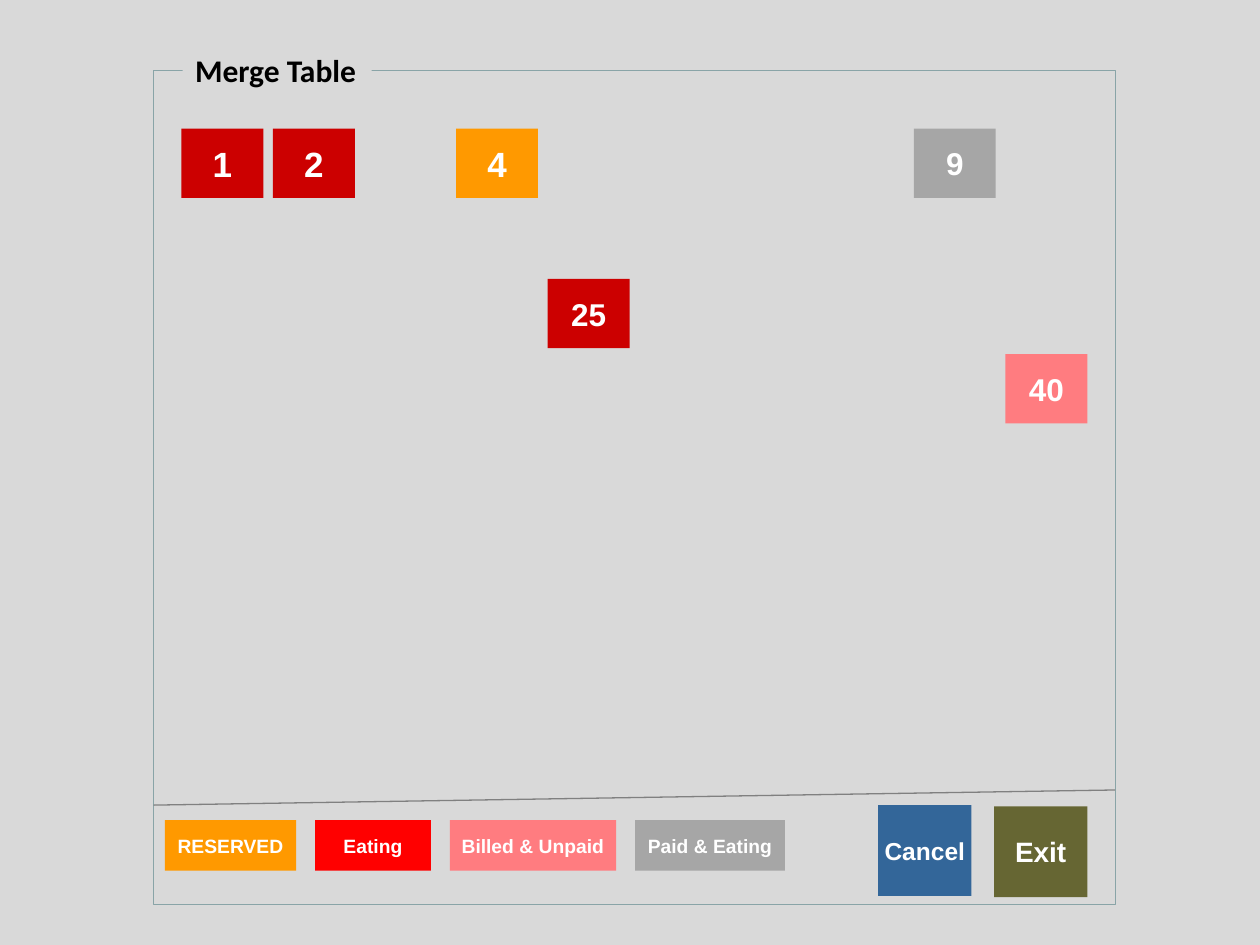
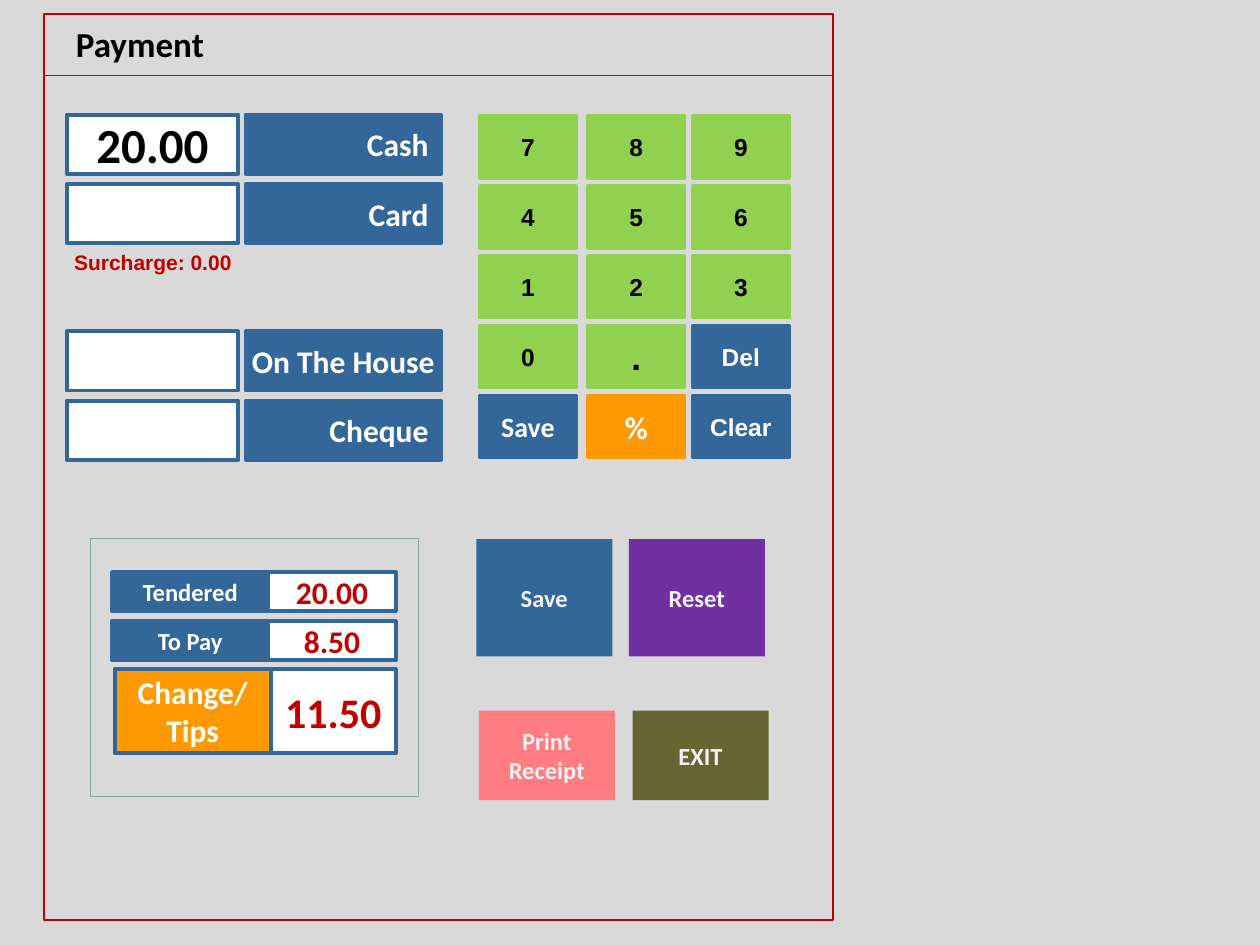
import dataclasses

import pptx
import pptx.dml.color
import pptx.enum.shapes
import pptx.enum.text
import pptx.oxml.ns
import pptx.util
from lxml import etree
from pptx.util import Inches

ALIGN = pptx.enum.text.PP_ALIGN
ANCHOR = pptx.enum.text.MSO_ANCHOR


@dataclasses.dataclass(frozen=True)
class Theme:
    # Colours
    page: str = "D9D9D9"
    white: str = "FFFFFF"
    soft_white: str = "F2F2F2"
    black: str = "000000"
    blue: str = "336699"
    olive: str = "666633"
    orange: str = "FF9900"
    pink: str = "FF7C80"
    grey: str = "A6A6A6"
    occupied: str = "CC0000"
    eating: str = "FF0000"
    amount: str = "C00000"
    green: str = "92D050"
    purple: str = "7030A0"
    frame: str = "89A4A7"
    divider: str = "808080"
    # Fonts and sizes in points
    sans: str = "Arial"
    heading: str = "Calibri"
    legend: int = 11
    note: int = 12
    button: int = 14
    action: int = 16
    label: int = 18
    large: int = 20
    total: int = 24
    entry: int = 28
    # Line widths in points
    hairline: float = 0.5
    rule: float = 0.75
    outline: float = 1
    border: float = 2.25


THEME = Theme()


def rgb(code):
    return pptx.dml.color.RGBColor.from_string(code)


def write(frame, text, size, font, color, align=ALIGN.CENTER, wrap=False):
    """Fill a text frame, one paragraph per line, in one bold style."""
    frame.word_wrap = wrap
    frame.text = text
    for paragraph in frame.paragraphs:
        paragraph.alignment = align
        paragraph.font.size = pptx.util.Pt(size)
        paragraph.font.name = font
        paragraph.font.bold = True
        paragraph.font.color.rgb = rgb(color)


def add_box(slide, left, top, width, height, fill=None, line=None, line_width=THEME.border):
    box = slide.shapes.add_shape(
        pptx.enum.shapes.MSO_SHAPE.RECTANGLE,
        Inches(left), Inches(top), Inches(width), Inches(height))
    box.shadow.inherit = False
    if fill:
        box.fill.solid()
        box.fill.fore_color.rgb = rgb(fill)
    else:
        box.fill.background()
    if line:
        box.line.color.rgb = rgb(line)
        box.line.width = pptx.util.Pt(line_width)
    else:
        box.line.fill.background()
    return box


def add_button(slide, text, left, top, width, height, fill, size,
               font=THEME.sans, color=THEME.white, line=None, align=ALIGN.CENTER):
    button = add_box(slide, left, top, width, height, fill, line)
    button.text_frame.vertical_anchor = ANCHOR.MIDDLE
    write(button.text_frame, text, size, font, color, align)


def add_caption(slide, text, left, top, width, height, size, font, color,
                align=ALIGN.LEFT, wrap=False):
    caption = slide.shapes.add_textbox(
        Inches(left), Inches(top), Inches(width), Inches(height))
    write(caption.text_frame, text, size, font, color, align, wrap)
    return caption


def add_rule(slide, x1, y1, x2, y2, color):
    rule = slide.shapes.add_connector(
        pptx.enum.shapes.MSO_CONNECTOR.STRAIGHT,
        Inches(x1), Inches(y1), Inches(x2), Inches(y2))
    rule.line.color.rgb = rgb(color)
    rule.line.width = pptx.util.Pt(THEME.rule)
    etree.SubElement(rule._element.spPr, pptx.oxml.ns.qn("a:effectLst"))


def add_screen(deck):
    """Blank slide with the grey page shared by all screens."""
    slide = deck.slides.add_slide(deck.slide_layouts[6])
    add_box(slide, 0, 0, 10, 7.5, THEME.page)
    return slide


def add_tables(slide):
    """Numbered restaurant tables, each in its seat on a ten-column floor."""
    first_left, first_top = 1.44, 1.02
    column_pitch, row_pitch = (7.98 - first_left) / 9, (2.81 - first_top) / 3
    tables = [
        (1, THEME.occupied, THEME.large),
        (2, THEME.occupied, THEME.large),
        (4, THEME.orange, THEME.large),
        (9, THEME.grey, THEME.label),
        (25, THEME.occupied, THEME.label),
        (40, THEME.pink, THEME.label),
    ]
    for number, status, size in tables:
        row, column = divmod(number - 1, 10)
        add_button(slide, str(number), first_left + column * column_pitch,
                   first_top + row * row_pitch, 0.65, 0.55, status, size)


def add_status_legend(slide):
    left, gap = 1.31, 0.15
    for text, width, status in [
        ("RESERVED", 1.04, THEME.orange),
        ("Eating", 0.92, THEME.eating),
        ("Billed & Unpaid", 1.32, THEME.pink),
        ("Paid & Eating", 1.19, THEME.grey),
    ]:
        add_button(slide, text, left, 6.51, width, 0.4, status, THEME.legend)
        left += width + gap


def build_merge_table(deck):
    slide = add_screen(deck)
    add_box(slide, 1.22, 0.56, 7.63, 6.62, line=THEME.frame, line_width=THEME.hairline)
    title = add_caption(slide, "Merge Table", 1.45, 0.36, 1.5, 0.4,
                        THEME.label, THEME.heading, THEME.black)
    title.fill.solid()
    title.fill.fore_color.rgb = rgb(THEME.page)

    add_tables(slide)

    # Bottom bar
    add_status_legend(slide)
    add_button(slide, "Cancel", 6.97, 6.39, 0.74, 0.72, THEME.blue, THEME.button)
    add_button(slide, "Exit", 7.89, 6.4, 0.74, 0.72, THEME.olive, THEME.action)
    add_rule(slide, 1.22, 6.39, 8.85, 6.27, THEME.divider)


def add_payment_methods(slide):
    for method, amount, top, align in [
        ("Cash", "20.00", 0.91, ALIGN.RIGHT),
        ("Card", "", 1.46, ALIGN.RIGHT),
        ("On The House", "", 2.63, ALIGN.CENTER),
        ("Cheque", "", 3.18, ALIGN.RIGHT),
    ]:
        add_button(slide, method, 1.95, top, 1.55, 0.47, THEME.blue, THEME.label,
                   THEME.heading, line=THEME.blue, align=align)
        add_button(slide, amount, 0.53, top, 1.36, 0.47, THEME.white, THEME.entry,
                   THEME.heading, THEME.black, line=THEME.blue)


def add_keypad(slide):
    column_lefts = (3.81, 4.67, 5.5)
    first_top, row_pitch = 0.92, 0.555
    rows = ["789", "456", "123", ["0", ".", "Del"], ["Save", "%", "Clear"]]
    # Keys that differ from a green digit: fill, size, font, text colour
    special_keys = {
        ".": (THEME.green, THEME.large, THEME.sans, THEME.black),
        "Del": (THEME.blue, THEME.button, THEME.sans, THEME.white),
        "Save": (THEME.blue, THEME.action, THEME.heading, THEME.white),
        "%": (THEME.orange, THEME.label, THEME.heading, THEME.white),
        "Clear": (THEME.blue, THEME.button, THEME.sans, THEME.white),
    }
    digit_key = (THEME.green, THEME.button, THEME.sans, THEME.black)
    for row, keys in enumerate(rows):
        for left, key in zip(column_lefts, keys):
            fill, size, font, color = special_keys.get(key, digit_key)
            add_button(slide, key, left, first_top + row * row_pitch, 0.76, 0.49,
                       fill, size, font, color, line=fill)


def add_totals(slide):
    add_box(slide, 0.72, 4.27, 2.6, 2.05, line=THEME.frame, line_width=THEME.hairline)
    for name, amount, left, top, height, fill, name_size, amount_size in [
        ("Tendered", "20.00", 0.89, 4.54, 0.31, THEME.blue, THEME.button, THEME.label),
        ("To Pay", "8.50", 0.89, 4.93, 0.31, THEME.blue, THEME.button, THEME.label),
        ("Change/\nTips", "11.50", 0.91, 5.31, 0.67, THEME.orange, THEME.label, THEME.total),
    ]:
        right, split = 3.14, left + 1.24
        add_button(slide, name, left, top, 1.24, height, fill, name_size,
                   THEME.heading, line=THEME.blue)
        add_button(slide, amount, split, top, right - split, height, THEME.white,
                   amount_size, THEME.heading, THEME.amount, line=THEME.blue)


def add_payment_actions(slide):
    for text, left, top, height, fill in [
        ("Save", 3.78, 4.28, 0.93, THEME.blue),
        ("Reset", 4.99, 4.28, 0.93, THEME.purple),
        ("Print\nReceipt", 3.8, 5.64, 0.71, THEME.pink),
        ("EXIT", 5.02, 5.64, 0.71, THEME.olive),
    ]:
        add_button(slide, text, left, top, 1.08, height, fill, THEME.button,
                   THEME.heading, THEME.soft_white)


def build_payment(deck):
    slide = add_screen(deck)
    # Window and title bar
    add_box(slide, 0.35, 0.11, 6.26, 7.19, line=THEME.amount, line_width=THEME.outline)
    add_caption(slide, "Payment", 0.27, 0.13, 1.68, 0.44, THEME.large,
                THEME.heading, THEME.black, ALIGN.CENTER, wrap=True)
    add_rule(slide, 0.35, 0.6, 6.61, 0.6, THEME.occupied)

    add_payment_methods(slide)
    add_caption(slide, "Surcharge: 0.00", 0.49, 1.93, 1.45, 0.3,
                THEME.note, THEME.sans, THEME.amount)
    add_keypad(slide)
    add_totals(slide)
    add_payment_actions(slide)


def main():
    deck = pptx.Presentation()
    deck.slide_width, deck.slide_height = Inches(10), Inches(7.5)
    build_merge_table(deck)
    build_payment(deck)
    deck.save("out.pptx")


if __name__ == "__main__":
    main()
